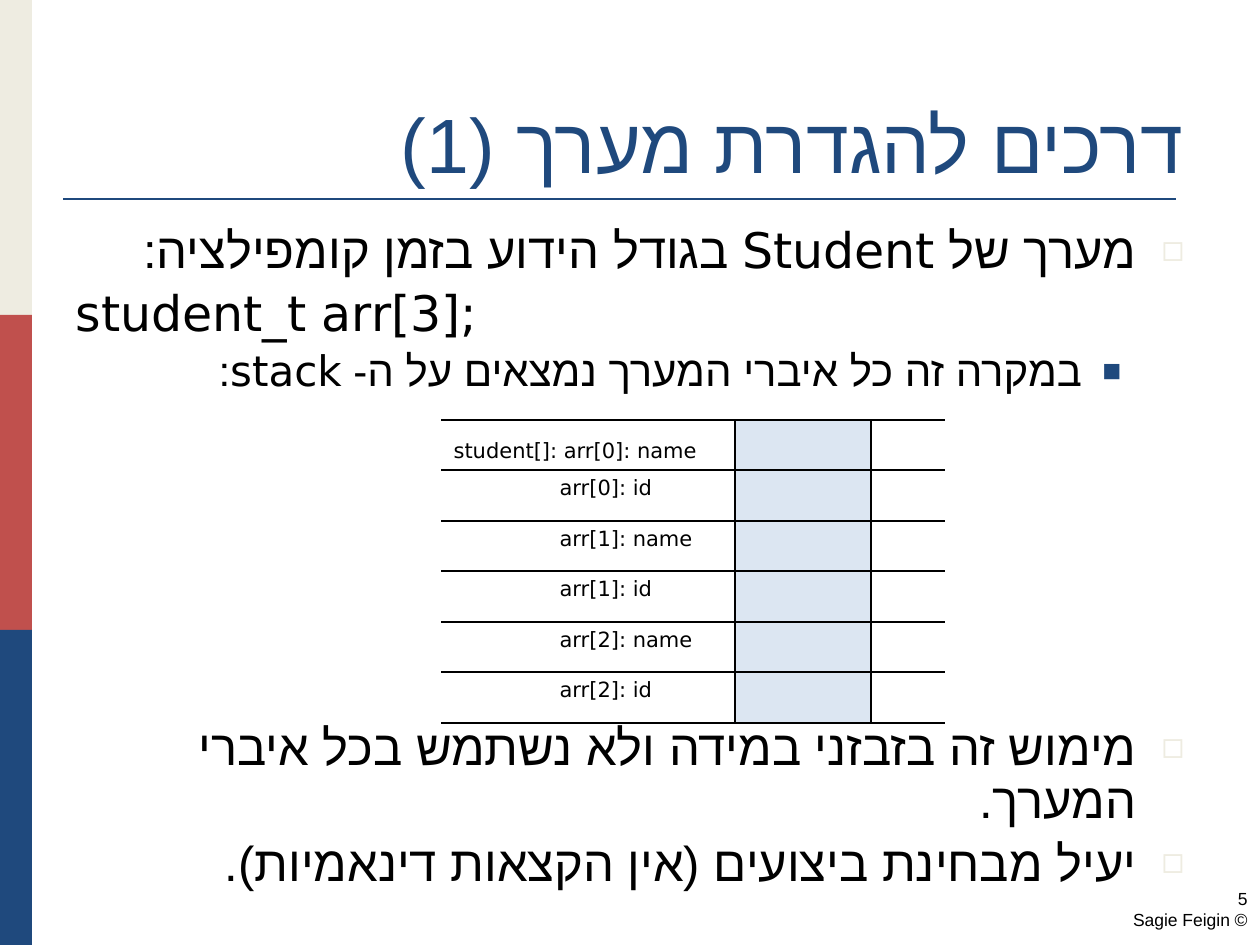
from dataclasses import dataclass

from lxml.etree import SubElement
from pptx import Presentation
from pptx.dml.color import RGBColor
from pptx.enum.shapes import MSO_CONNECTOR, MSO_SHAPE
from pptx.enum.text import MSO_ANCHOR, MSO_AUTO_SIZE, PP_ALIGN
from pptx.oxml import parse_xml
from pptx.oxml.ns import nsdecls, qn
from pptx.util import Emu, Pt

EMU_PER_PX = 914400 / 126
BLACK, NAVY, RED, CREAM, PALE_BLUE = "000000", "1F497D", "C0504D", "EEECE1", "DCE6F2"
BODY_FONT, HEBREW_FONT = "DejaVu Sans", "Arial"


@dataclass
class BodyLine:
    text: str
    size: int = 28
    space_before: float = 5.6
    level: int = 0
    bullet: str = "◻"
    bullet_color: str = CREAM
    margin: int = 48
    hanging: int = 48
    right_to_left: bool = True


# The large space before the fourth line leaves room for the memory table.
BODY_LINES = [
    BodyLine("מערך של Student בגודל הידוע בזמן קומפילציה:", space_before=0),
    BodyLine("student_t arr[3];", bullet="", right_to_left=False),
    BodyLine("במקרה זה כל איברי המערך נמצאים על ה- stack:", size=24, space_before=4.8,
             level=1, bullet="■", bullet_color=NAVY, margin=102, hanging=39),
    BodyLine("מימוש זה בזבזני במידה ולא נשתמש בכל איברי המערך.", space_before=187),
    BodyLine("יעיל מבחינת ביצועים (אין הקצאות דינאמיות)."),
]
MEMORY_LABELS = ["student[]: arr[0]: name", "arr[0]: id", "arr[1]: name",
                 "arr[1]: id", "arr[2]: name", "arr[2]: id"]
COLUMN_WIDTHS = (294, 136, 74)
ROW_HEIGHTS = (50, 51) * 3


def px(length: int) -> Emu:
    return Emu(round(length * EMU_PER_PX))


def rgb(color: str) -> RGBColor:
    return RGBColor.from_string(color)


def place(shape, left: int, top: int, width: int, height: int) -> None:
    shape.left, shape.top = px(left), px(top)
    shape.width, shape.height = px(width), px(height)


def format_runs(paragraph, size: int, font: str = BODY_FONT, color: str = BLACK) -> None:
    for run in paragraph.runs:
        run.font.size = Pt(size)
        run.font.name = font
        run.font.color.rgb = rgb(color)
        SubElement(run._r.get_or_add_rPr(), qn("a:cs"), typeface=HEBREW_FONT)


def set_right_to_left(paragraph) -> None:
    paragraph.alignment = PP_ALIGN.RIGHT
    paragraph._p.get_or_add_pPr().set("rtl", "1")


def add_bar(slide, top: int, color: str) -> None:
    bar = slide.shapes.add_shape(MSO_SHAPE.RECTANGLE, px(0), px(top), px(32), px(315))
    bar.shadow.inherit = False
    bar.fill.solid()
    bar.fill.fore_color.rgb = rgb(color)
    bar.line.fill.background()


def add_title_rule(slide) -> None:
    rule = slide.shapes.add_connector(MSO_CONNECTOR.STRAIGHT, px(63), px(199), px(1176), px(199))
    rule.line.color.rgb = rgb(NAVY)
    rule.line.width = Pt(1.5)
    SubElement(rule._element.spPr, qn("a:effectLst"))


def fill_title(title) -> None:
    place(title, 63, 38, 1134, 157)
    frame = title.text_frame
    frame.text = "דרכים להגדרת מערך (1)"
    frame.auto_size = MSO_AUTO_SIZE.NONE
    frame.vertical_anchor = MSO_ANCHOR.BOTTOM
    set_right_to_left(frame.paragraphs[0])
    format_runs(frame.paragraphs[0], 44, "Times New Roman", NAVY)


def set_bullet(paragraph, line: BodyLine) -> None:
    properties = paragraph._p.get_or_add_pPr()
    properties.set("marL", str(px(line.margin)))
    properties.set("indent", str(px(-line.hanging)))
    if not line.bullet:
        SubElement(properties, qn("a:buNone"))
        return
    color = SubElement(properties, qn("a:buClr"))
    SubElement(color, qn("a:srgbClr"), val=line.bullet_color)
    SubElement(properties, qn("a:buSzPct"), val="75000")
    SubElement(properties, qn("a:buChar"), char=line.bullet)


def fill_body(body) -> None:
    place(body, 63, 220, 1134, 683)
    frame = body.text_frame
    frame.text = "\n".join(line.text for line in BODY_LINES)
    frame.auto_size = MSO_AUTO_SIZE.NONE
    for paragraph, line in zip(frame.paragraphs, BODY_LINES):
        set_bullet(paragraph, line)
        paragraph.level = line.level
        paragraph.line_spacing = 0.9
        paragraph.space_before = Pt(line.space_before)
        if line.right_to_left:
            set_right_to_left(paragraph)
        else:
            paragraph.alignment = PP_ALIGN.LEFT
        format_runs(paragraph, line.size)


def set_borders(cell, sides: str) -> None:
    """Draw black lines on the named sides (of L, R, T, B) and none on the others."""
    properties = cell._tc.get_or_add_tcPr()
    for index, side in enumerate("LRTB"):
        paint = (f'<a:solidFill><a:srgbClr val="{BLACK}"/></a:solidFill>'
                 if side in sides else "<a:noFill/>")
        border = parse_xml(f'<a:ln{side} {nsdecls("a")} w="12700">{paint}</a:ln{side}>')
        properties.insert(index, border)


def add_memory_table(slide) -> None:
    frame = slide.shapes.add_table(len(ROW_HEIGHTS), len(COLUMN_WIDTHS), px(441), px(420),
                                   px(sum(COLUMN_WIDTHS)), px(sum(ROW_HEIGHTS)))
    table = frame.table
    table.first_row = table.horz_banding = False
    for column, width in zip(table.columns, COLUMN_WIDTHS):
        column.width = px(width)
    for index, (row, height, label) in enumerate(zip(table.rows, ROW_HEIGHTS, MEMORY_LABELS)):
        row.height = px(height)
        label_cell, value_cell, open_cell = row.cells
        label_cell.text = label
        paragraph = label_cell.text_frame.paragraphs[0]
        format_runs(paragraph, 12)
        if index == 0:
            label_cell.vertical_anchor = MSO_ANCHOR.BOTTOM
        else:
            paragraph._p.get_or_add_pPr().set("marL", str(px(106)))
        for empty_cell in (value_cell, open_cell):
            empty_cell.margin_top = empty_cell.margin_bottom = 0
        label_cell.fill.background()
        value_cell.fill.solid()
        value_cell.fill.fore_color.rgb = rgb(PALE_BLUE)
        open_cell.fill.background()
        for cell, sides in zip(row.cells, ("RTB", "LRTB", "LTB")):
            set_borders(cell, sides)


def add_footer(slide) -> None:
    footer = slide.shapes.add_textbox(px(966), px(882), px(294), px(63))
    frame = footer.text_frame
    frame.word_wrap = True
    frame.text = "5\n© Sagie Feigin"
    for paragraph, font in zip(frame.paragraphs, (BODY_FONT, "Arial")):
        set_right_to_left(paragraph)
        format_runs(paragraph, 10, font)


def main() -> None:
    presentation = Presentation()
    presentation.slide_width, presentation.slide_height = px(1260), px(945)
    slide = presentation.slides.add_slide(presentation.slide_layouts[1])
    for index, color in enumerate((CREAM, RED, NAVY)):
        add_bar(slide, index * 315, color)
    add_title_rule(slide)
    fill_title(slide.shapes.title)
    fill_body(slide.placeholders[1])
    add_footer(slide)
    add_memory_table(slide)
    presentation.save("out.pptx")


if __name__ == "__main__":
    main()
